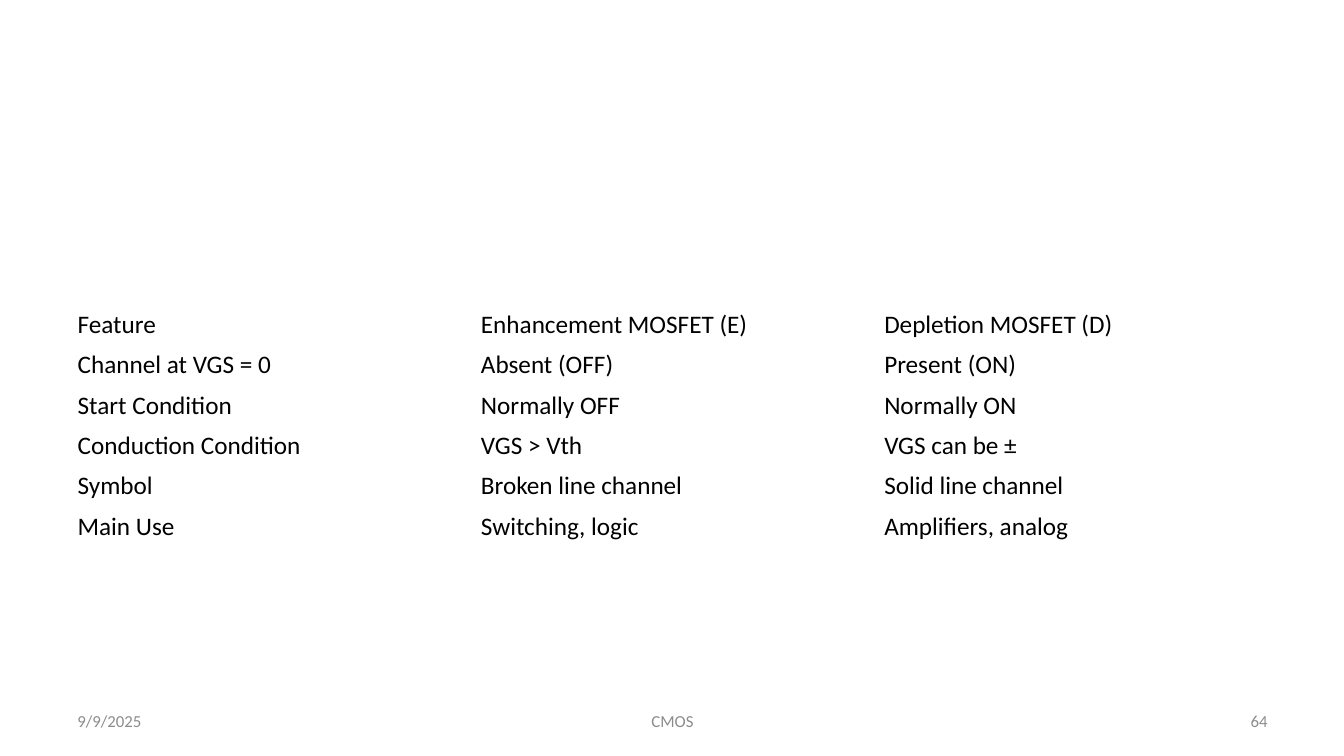
"""Build the slide comparing enhancement and depletion MOSFETs."""
from dataclasses import dataclass

from pptx import Presentation
from pptx.dml.color import RGBColor
from pptx.enum.text import MSO_ANCHOR, PP_ALIGN
from pptx.slide import Slide
from pptx.text.text import _Paragraph
from pptx.util import Inches, Pt

FONT = "Calibri"
BLACK = RGBColor(0x00, 0x00, 0x00)
GRAY = RGBColor(0x8C, 0x8C, 0x8C)
ROW_HEIGHT = 0.4
COLUMN_WIDTH = 4


@dataclass(frozen=True)
class FooterItem:
    text: str
    left: float
    width: float
    align: PP_ALIGN


@dataclass(frozen=True)
class Comparison:
    feature: str
    enhancement: str
    depletion: str


FOOTER = [
    FooterItem("9/9/2025", 0.67, 3.11, PP_ALIGN.LEFT),
    FooterItem("CMOS", 4.56, 4.22, PP_ALIGN.CENTER),
    FooterItem("64", 9.56, 3.11, PP_ALIGN.RIGHT),
]

COMPARISONS = [
    Comparison("Feature", "Enhancement MOSFET (E)", "Depletion MOSFET (D)"),
    Comparison("Channel at VGS = 0", "Absent (OFF)", "Present (ON)"),
    Comparison("Start Condition", "Normally OFF", "Normally ON"),
    Comparison("Conduction Condition", "VGS > Vth", "VGS can be ±"),
    Comparison("Symbol", "Broken line channel", "Solid line channel"),
    Comparison("Main Use", "Switching, logic", "Amplifiers, analog"),
]


def add_run(p: _Paragraph, text: str, size: int, color: RGBColor) -> None:
    r = p.add_run()
    r.text = text
    r.font.name = FONT
    r.font.size = Pt(size)
    r.font.bold = False
    r.font.color.rgb = color


def add_footer_item(s: Slide, item: FooterItem) -> None:
    sp = s.shapes.add_textbox(
        Inches(item.left), Inches(6.95), Inches(item.width), Inches(0.4))
    tf = sp.text_frame
    tf.word_wrap = True
    tf.vertical_anchor = MSO_ANCHOR.MIDDLE
    p = tf.paragraphs[0]
    p.alignment = item.align
    add_run(p, item.text, 12, GRAY)


def add_comparison_table(s: Slide, comparisons: list[Comparison]) -> None:
    table = s.shapes.add_table(
        len(comparisons), 3, Inches(0.67), Inches(3.02),
        Inches(3 * COLUMN_WIDTH), Inches(len(comparisons) * ROW_HEIGHT)).table
    table.first_row = False
    table.horz_banding = False
    for row, item in zip(table.rows, comparisons):
        texts = (item.feature, item.enhancement, item.depletion)
        for cell, text in zip(row.cells, texts):
            cell.fill.background()
            cell.vertical_anchor = MSO_ANCHOR.MIDDLE
            add_run(cell.text_frame.paragraphs[0], text, 18, BLACK)


def main() -> None:
    prs = Presentation()
    prs.slide_width = Inches(13.33)
    prs.slide_height = Inches(7.5)
    s = prs.slides.add_slide(prs.slide_layouts[6])
    for item in FOOTER:
        add_footer_item(s, item)
    add_comparison_table(s, COMPARISONS)
    prs.save("out.pptx")


if __name__ == "__main__":
    main()
